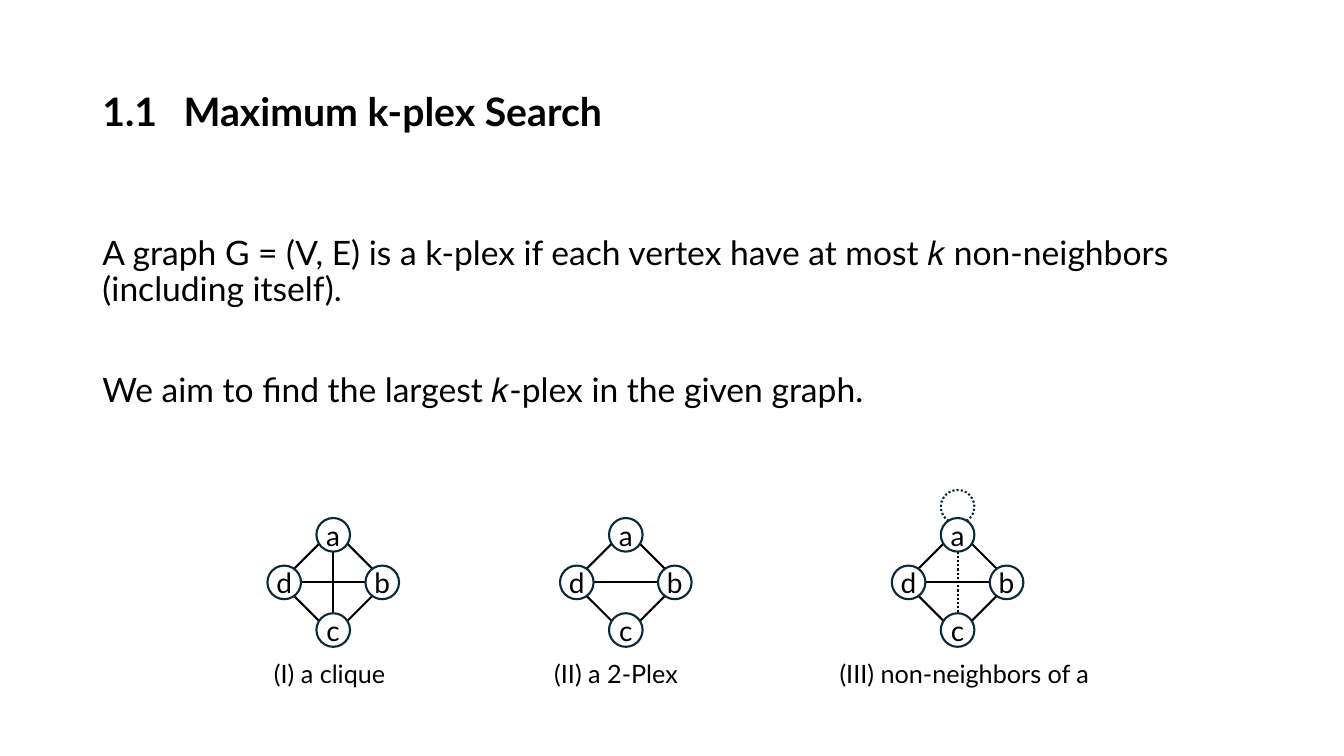
from lxml import etree
from pptx import Presentation
from pptx import util as u
from pptx.dml import color
from pptx.enum import dml, shapes, text
from pptx.oxml import ns

Pt = u.Pt
HUES = {"ink": "000000", "ring": "092A39", "paper": "FFFFFF"}
GRAPHS = [
    (238, "(I) a clique", 188.6, 100, "solid"),
    (447, "(II) a 2-Plex", 388.8, 120, None),
    (684, "(III) non-neighbors of a", 592.6, 196, "dots"),
]
MID, SPAN, RISE, SIZE, SIDE = 416, 35, 34, 24, 53.3
NODES = {"a": (0, -RISE), "c": (0, RISE), "b": (SPAN, 0), "d": (-SPAN, 0)}


class Deck:
    def __init__(self, slide):
        self.slide = slide
        self.face = "Lato"
        self.width = 1.5

    def hue(self, name):
        return color.RGBColor.from_string(HUES[name])

    def put(self, thing, values):
        for name, value in values.items():
            setattr(thing, name, value)

    def place(self, thing, box):
        self.put(thing, dict(zip(("left", "top", "width", "height"), map(Pt, box))))

    def fill_in(self, frame, lines, size, frame_values, line_values, bold=False):
        self.put(frame, {"word_wrap": True, "auto_size": text.MSO_AUTO_SIZE.NONE, **frame_values})
        for i, words in enumerate(lines):
            line = frame.paragraphs[0] if i == 0 else frame.add_paragraph()
            line.text = words
            self.put(line, {"space_before": Pt(46 if i else 0), **line_values})
            for run in line.runs:
                self.put(run.font, {"name": self.face, "size": Pt(size), "bold": bold})
                run.font.color.rgb = self.hue("ink")

    def title(self, words, box, tab):
        holder = self.slide.shapes.title
        self.place(holder, box)
        line = holder.text_frame.paragraphs[0]
        tabs = etree.SubElement(line._p.get_or_add_pPr(), ns.qn("a:tabLst"))
        etree.SubElement(tabs, ns.qn("a:tab"), pos=str(Pt(tab)), algn="l")
        self.fill_in(holder.text_frame, [words], 28,
                     {"vertical_anchor": text.MSO_ANCHOR.MIDDLE},
                     {"alignment": text.PP_ALIGN.LEFT, "line_spacing": 0.9}, True)

    def body(self, lines, box):
        holder = self.slide.placeholders[1]
        self.place(holder, box)
        self.fill_in(holder.text_frame, lines, 24,
                     {"vertical_anchor": text.MSO_ANCHOR.TOP}, {"line_spacing": 0.9})
        for line in holder.text_frame.paragraphs:
            props = line._p.get_or_add_pPr()
            props.set("marL", "0")
            props.set("indent", "0")
            etree.SubElement(props, ns.qn("a:buNone"))

    def label(self, words, box):
        self.fill_in(self.slide.shapes.add_textbox(*map(Pt, box)).text_frame, [words], 18, {}, {})

    def stroke(self, line, hue, dots=False):
        line.color.rgb = self.hue(hue)
        line.width = Pt(self.width)
        if dots:
            line.dash_style = dml.MSO_LINE.ROUND_DOT

    def edge(self, start, end, dots=False):
        link = self.slide.shapes.add_connector(
            shapes.MSO_CONNECTOR.STRAIGHT, *map(Pt, (*start, *end)))
        self.stroke(link.line, "ink", dots)
        etree.SubElement(link._element.spPr, ns.qn("a:effectLst"))

    def shape(self, kind, x, y, size, hue, fill=None, dots=False):
        item = self.slide.shapes.add_shape(
            kind, *map(Pt, (x - size / 2, y - size / 2, size, size)))
        item.shadow.inherit = False
        if fill:
            item.fill.solid()
            item.fill.fore_color.rgb = self.hue(fill)
        else:
            item.fill.background()
        self.stroke(item.line, hue, dots)
        return item

    def ring(self, x, y, dots=False):
        return self.shape(shapes.MSO_SHAPE.OVAL, x, y, SIZE, "ring", "paper", dots)

    def node(self, name, x, y):
        pads = dict.fromkeys(("margin_left", "margin_top", "margin_right", "margin_bottom"), 0)
        self.fill_in(self.ring(x, y).text_frame, [name], 20,
                     {**pads, "word_wrap": False, "vertical_anchor": text.MSO_ANCHOR.MIDDLE},
                     {"alignment": text.PP_ALIGN.CENTER})

    def graph(self, x, chord):
        self.shape(shapes.MSO_SHAPE.RECTANGLE, x, MID, SIDE, "ink").rotation = 45
        reach = SPAN - SIZE / 2
        self.edge((x - reach, MID), (x + reach, MID))
        if chord:
            drop = RISE - SIZE / 2
            self.edge((x, MID - drop), (x, MID + drop), chord == "dots")
        if chord == "dots":
            self.ring(x, MID - RISE - 20, True)
        for name, (dx, dy) in NODES.items():
            self.node(name, x + dx, MID + dy)


def main():
    show = Presentation()
    show.slide_width, show.slide_height = Pt(960), Pt(540)
    deck = Deck(show.slides.add_slide(show.slide_layouts[1]))
    deck.title("1.1\tMaximum k-plex Search", (66, 28.8, 828, 104.4), 58)
    deck.body([
        "A graph G = (V, E) is a k-plex if each vertex have at most 𝑘 non-neighbors (including itself).",
        "We aim to find the largest 𝑘-plex in the given graph.",
    ], (66, 165, 828, 183))
    for x, words, left, width, chord in GRAPHS:
        deck.graph(x, chord)
        deck.label(words, (left, 466.6, width, 29))
    show.save("out.pptx")


if __name__ == "__main__":
    main()
